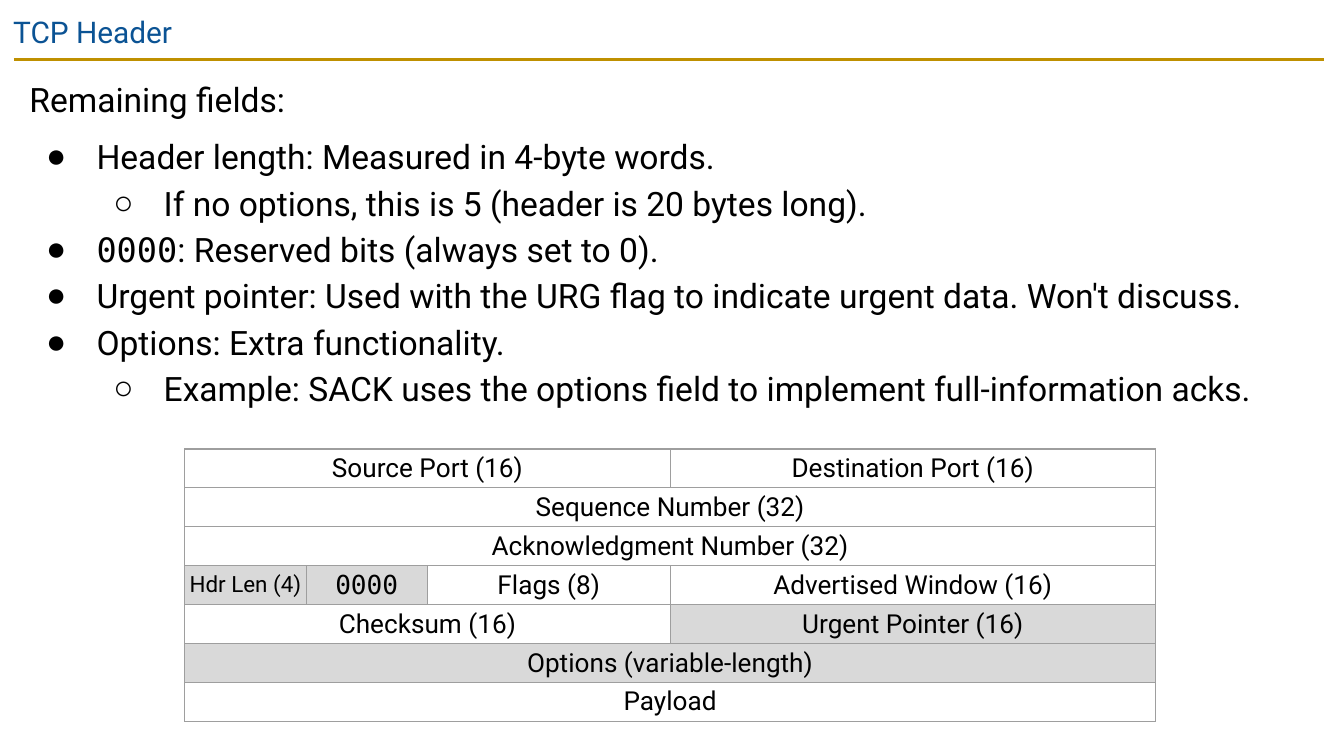
import pptx
import pptx.util
import pptx.dml.color
import pptx.enum.text
import pptx.enum.shapes
import pptx.oxml.ns
import lxml.etree

Pt = pptx.util.Pt
qn = pptx.oxml.ns.qn
sub = lxml.etree.SubElement
hues = {"ink": "000000", "title": "0B5394", "rule": "BF9000",
        "gray": "D9D9D9", "edge": "9E9E9E"}
sans, mono = "Roboto", "DejaVu Sans Mono"

deck = pptx.Presentation()
deck.slide_width = pptx.util.Inches(10)
deck.slide_height = deck.slide_width * 9 // 16
unit = deck.slide_width / 100
slide = deck.slides.add_slide(deck.slide_layouts[6])


def style(run, size, hue="ink"):
    run.font.size = Pt(size)
    run.font.name = mono if run.text == "0000" else sans
    run.font.color.rgb = pptx.dml.color.RGBColor.from_string(hues[hue])


def box(*grid):
    frame = slide.shapes.add_textbox(*[int(n * unit) for n in grid]).text_frame
    frame.word_wrap = True
    frame.margin_left = frame.margin_right = int(unit)
    frame.margin_top = frame.margin_bottom = int(unit)
    return frame


rule = slide.shapes.add_connector(
    pptx.enum.shapes.MSO_CONNECTOR.STRAIGHT,
    *[int(n * unit) for n in (1.04, 4.42, 98.5, 4.42)])
rule.line.color.rgb = pptx.dml.color.RGBColor.from_string(hues["rule"])
rule.line.width = Pt(1.5)
sub(rule._element.spPr, qn("a:effectLst"))

title = box(0, 0, 93.2, 4.3)
title.text = "TCP Header"
style(title.paragraphs[0].runs[0], 16, "title")

points = [
    (0, ["Remaining fields:"]),
    (1, ["Header length: Measured in 4-byte words."]),
    (2, ["If no options, this is 5 (header is 20 bytes long)."]),
    (1, ["0000", ": Reserved bits (always set to 0)."]),
    (1, ["Urgent pointer: Used with the URG flag to indicate urgent data. Won't discuss."]),
    (1, ["Options: Extra functionality."]),
    (2, ["Example: SACK uses the options field to implement full-information acks."]),
]
body = box(1.2, 4.4, 97.4, 26.7)
for i, (depth, parts) in enumerate(points):
    para = body.add_paragraph() if i else body.paragraphs[0]
    para.line_spacing = 1.15
    para.space_before = Pt(6 if i == 1 else 0)
    if depth:
        para.level = depth - 1
        props = para._p.get_or_add_pPr()
        props.set("marL", str(int(depth * 5 * unit)))
        props.set("indent", str(int(-3.75 * unit)))
        tint = sub(props, qn("a:buClr"))
        sub(tint, qn("a:srgbClr"), val=hues["ink"])
        sub(props, qn("a:buFont"), typeface="Arial")
        sub(props, qn("a:buChar"), char=" ●○"[depth])
    for part in parts:
        run = para.add_run()
        run.text = part
        style(run, 18)

fields = [
    [("Source Port (16)", 4), ("Destination Port (16)", 4)],
    [("Sequence Number (32)", 8)],
    [("Acknowledgment Number (32)", 8)],
    [("Hdr Len (4)", 1), ("0000", 1), ("Flags (8)", 2), ("Advertised Window (16)", 4)],
    [("Checksum (16)", 4), ("Urgent Pointer (16)", 4)],
    [("Options (variable-length)", 8)],
    [("Payload", 8)],
]
shaded = ["Hdr Len (4)", "0000", "Urgent Pointer (16)", "Options (variable-length)"]
cols, rows = 8, len(fields)
wide, high = 9.03, 2.9
table = slide.shapes.add_table(
    rows, cols,
    *[int(n * unit) for n in (13.75, 33.4, cols * wide, rows * high)]).table
table.first_row = table.horz_banding = False
for col in table.columns:
    col.width = int(wide * unit)
for row in table.rows:
    row.height = int(high * unit)

for cell in table.iter_cells():
    cell.margin_left = cell.margin_right = Pt(2)
    cell.margin_top = cell.margin_bottom = Pt(2)
    props = cell._tc.get_or_add_tcPr()
    for side in "LRTB":
        edge = sub(props, qn("a:ln" + side), w=str(Pt(0.75)))
        sub(sub(edge, qn("a:solidFill")), qn("a:srgbClr"), val=hues["edge"])
    cell.fill.background()

for r, line in enumerate(fields):
    c = 0
    for text, span in line:
        cell = table.cell(r, c)
        if span > 1:
            cell.merge(table.cell(r, c + span - 1))
        cell.vertical_anchor = pptx.enum.text.MSO_ANCHOR.MIDDLE
        if text in shaded:
            cell.fill.solid()
            cell.fill.fore_color.rgb = pptx.dml.color.RGBColor.from_string(hues["gray"])
        cell.text_frame.text = text
        para = cell.text_frame.paragraphs[0]
        para.alignment = pptx.enum.text.PP_ALIGN.CENTER
        style(para.runs[0], 12 if text == "Hdr Len (4)" else 14)
        c += span

deck.save("out.pptx")
